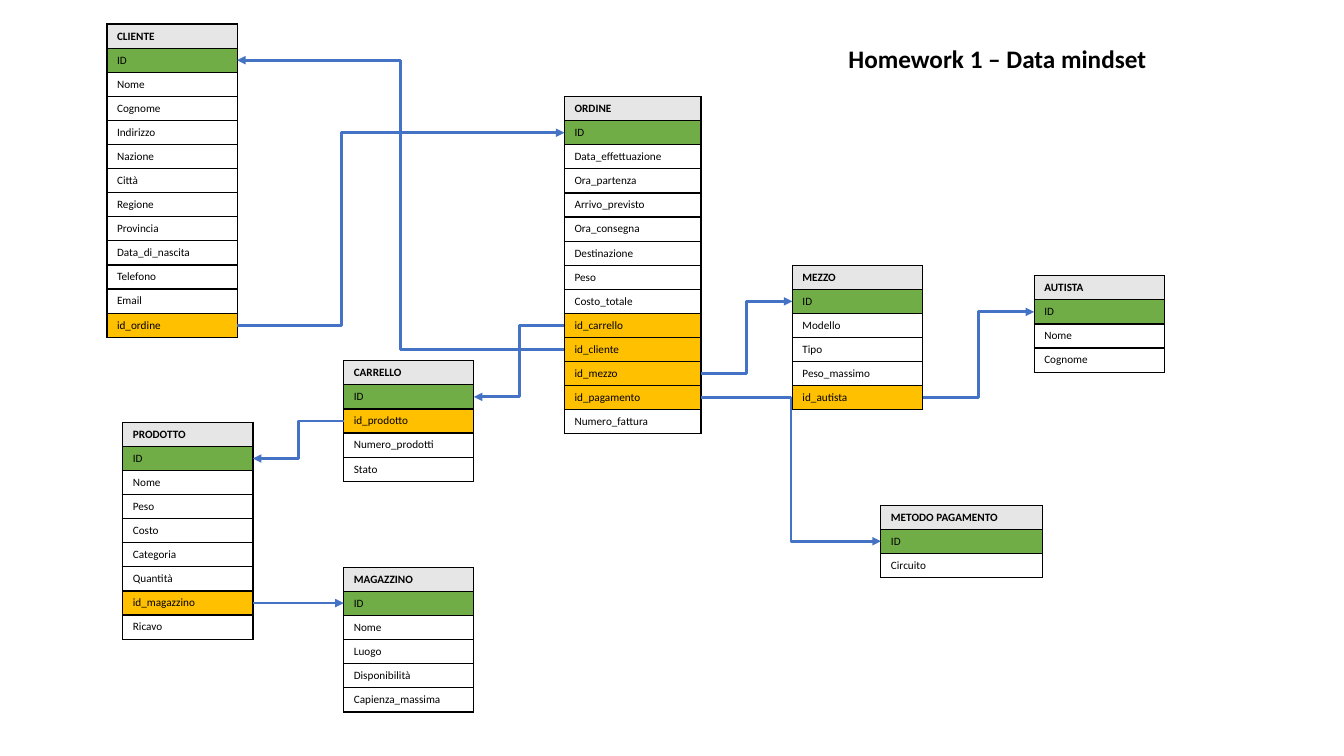
import pptx
import pptx.dml.color
import pptx.enum.shapes
import pptx.enum.text
import pptx.oxml
import pptx.oxml.ns
import pptx.util
from lxml import etree

Pt = pptx.util.Pt
ROW = 17.21
FONT = "Calibri"
COLORS = {
    "text": "000000",
    "border": "000000",
    "header": "E7E6E6",
    "primary": "70AD47",
    "foreign": "FFC000",
    "plain": "FFFFFF",
    "link": "4472C4",
}
ENTITIES = {
    "CLIENTE": (76.4, 17.2, 93, "ID Nome Cognome Indirizzo Nazione Città Regione Provincia "
                "Data_di_nascita Telefono Email id_ordine"),
    "PRODOTTO": (87.7, 301.7, 93, "ID Nome Peso Costo Categoria Quantità id_magazzino Ricavo"),
    "MAGAZZINO": (245.5, 405.3, 93, "ID Nome Luogo Disponibilità Capienza_massima"),
    "ORDINE": (403.2, 69, 97.5, "ID Data_effettuazione Ora_partenza Arrivo_previsto Ora_consegna "
               "Destinazione Peso Costo_totale id_carrello id_cliente id_mezzo id_pagamento "
               "Numero_fattura"),
    "CARRELLO": (245.5, 257.7, 93, "ID id_prodotto Numero_prodotti Stato"),
    "METODO PAGAMENTO": (629.2, 360.8, 115.2, "ID Circuito"),
    "MEZZO": (566, 189.5, 93, "ID Modello Tipo Peso_massimo id_autista"),
    "AUTISTA": (738.7, 197, 93, "ID Nome Cognome"),
}
LINKS = [
    ("ORDINE", "id_cliente", "CLIENTE", 0.5),
    ("CLIENTE", "id_ordine", "ORDINE", 0.32),
    ("ORDINE", "id_carrello", "CARRELLO", 0.5),
    ("CARRELLO", "id_prodotto", "PRODOTTO", 0.5),
    ("PRODOTTO", "id_magazzino", "MAGAZZINO", 0.5),
    ("ORDINE", "id_mezzo", "MEZZO", 0.5),
    ("MEZZO", "id_autista", "AUTISTA", 0.5),
    ("ORDINE", "id_pagamento", "METODO PAGAMENTO", 0.5),
]


def rgb(name):
    """Return the named colour."""
    return pptx.dml.color.RGBColor.from_string(COLORS[name])


def write(frame, text, size=8, bold=False, color="text"):
    """Put one formatted span in a text frame."""
    span = frame.paragraphs[0].add_run()
    span.text = text
    span.font.name = FONT
    span.font.size = Pt(size)
    span.font.bold = bold
    span.font.color.rgb = rgb(color)


def add_borders(cell):
    """Draw a thin line on all four sides of a cell."""
    properties = cell._tc.get_or_add_tcPr()
    for index, side in enumerate(("lnL", "lnR", "lnT", "lnB")):
        line = pptx.oxml.parse_xml(
            f'<a:{side} {pptx.oxml.ns.nsdecls("a")} w="{Pt(1)}"><a:solidFill>'
            f'<a:srgbClr val="{COLORS["border"]}"/></a:solidFill></a:{side}>'
        )
        properties.insert(index, line)


def field_color(index, field):
    """Choose the fill that marks the role of a row."""
    if index == 0:
        return "header"
    if field == "ID":
        return "primary"
    return "foreign" if field.startswith("id_") else "plain"


def add_entity(page, name):
    """Add the table of one entity."""
    left, top, width, fields = ENTITIES[name]
    rows = [name, *fields.split()]
    table = page.shapes.add_table(
        len(rows), 1, Pt(left), Pt(top), Pt(width), Pt(ROW * len(rows))
    ).table
    table.horz_banding = False
    for index, field in enumerate(rows):
        cell = table.cell(index, 0)
        cell.fill.solid()
        cell.fill.fore_color.rgb = rgb(field_color(index, field))
        cell.vertical_anchor = pptx.enum.text.MSO_ANCHOR.MIDDLE
        write(cell.text_frame, field, bold=index == 0)
        add_borders(cell)


def row_middle(name, field):
    """Return the height at which a field's row is centred."""
    top, fields = ENTITIES[name][1], ENTITIES[name][3]
    return top + ROW * (fields.split().index(field) + 1.5)


def add_link(page, source, field, target, bend):
    """Add an arrow from a foreign key to the ID of its entity."""
    start_x, end_x = ENTITIES[source][0], ENTITIES[target][0]
    if start_x < end_x:
        start_x += ENTITIES[source][2]
    else:
        end_x += ENTITIES[target][2]
    start_y, end_y = row_middle(source, field), row_middle(target, "ID")
    kind = pptx.enum.shapes.MSO_CONNECTOR.ELBOW
    if abs(end_y - start_y) < 2:
        kind = pptx.enum.shapes.MSO_CONNECTOR.STRAIGHT
        end_y = start_y
    link = page.shapes.add_connector(kind, Pt(start_x), Pt(start_y), Pt(end_x), Pt(end_y))
    link.line.color.rgb = rgb("link")
    link.line.width = Pt(2)
    qn = pptx.oxml.ns.qn
    etree.SubElement(link.line._get_or_add_ln(), qn("a:tailEnd"), type="triangle")
    properties = link._element.spPr
    etree.SubElement(properties, qn("a:effectLst"))
    if bend != 0.5:
        guides = properties.find(qn("a:prstGeom")).find(qn("a:avLst"))
        etree.SubElement(guides, qn("a:gd"), name="adj1", fmla=f"val {round(bend * 100000)}")


def add_title(page, text):
    """Add the heading of the diagram."""
    box = page.shapes.add_textbox(Pt(599), Pt(27.4), Pt(303.8), Pt(29))
    box.text_frame.word_wrap = True
    write(box.text_frame, text, size=18, bold=True)


def main():
    """Build the entity diagram."""
    deck = pptx.Presentation()
    deck.slide_width, deck.slide_height = Pt(960), Pt(540)
    page = deck.slides.add_slide(deck.slide_layouts[6])
    for name in ENTITIES:
        add_entity(page, name)
    add_title(page, "Homework 1 – Data mindset")
    for link in LINKS:
        add_link(page, *link)
    deck.save("out.pptx")


main()
